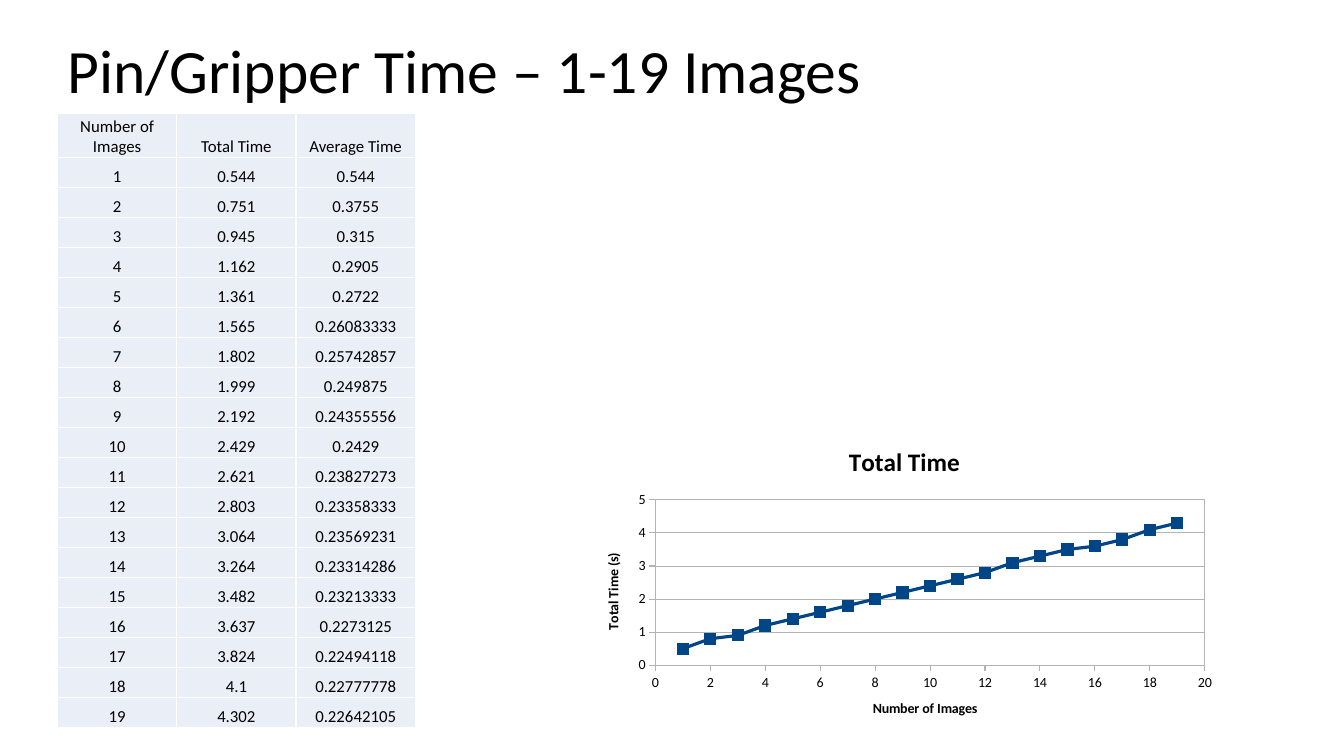
from dataclasses import dataclass

from lxml.etree import SubElement
from pptx import Presentation
from pptx.chart.data import XyChartData
from pptx.dml.color import RGBColor
from pptx.enum.chart import XL_CHART_TYPE, XL_MARKER_STYLE, XL_TICK_MARK
from pptx.enum.text import MSO_ANCHOR, PP_ALIGN
from pptx.oxml import parse_xml
from pptx.oxml.ns import nsdecls, qn
from pptx.util import Inches, Pt


@dataclass(frozen=True)
class Theme:
    font: str = "Calibri"
    ink: str = "000000"
    paper: str = "FFFFFF"
    cell: str = "EAEFF7"
    grid: str = "B3B3B3"
    series: str = "004586"
    title_size: int = 44
    table_size: int = 12
    chart_title_size: int = 18
    axis_size: int = 10


THEME = Theme()
SLIDE_WIDTH, SLIDE_HEIGHT = 13.33, 7.5
LEFT = 0.57
TABLE_TOP, TABLE_WIDTH, TABLE_HEIGHT, HEADER_HEIGHT = 1.13, 3.55, 6.09, 0.43
CHART_LEFT, CHART_TOP, CHART_WIDTH, CHART_HEIGHT = 5.79, 4.25, 6.36, 3.07
PLOT_INSET, PLOT_WIDTH, PLOT_HEIGHT = 0.71, 5.45, 1.64

HEADINGS = ("Number of Images", "Total Time", "Average Time")
TOTAL_TIMES = (0.544, 0.751, 0.945, 1.162, 1.361, 1.565, 1.802, 1.999, 2.192, 2.429,
               2.621, 2.803, 3.064, 3.264, 3.482, 3.637, 3.824, 4.1, 4.302)


def set_all(target, values):
    for name, value in values.items():
        setattr(target, name, value)


def style_font(font, size, bold=False):
    set_all(font, {"name": THEME.font, "size": Pt(size), "bold": bold})
    font.color.rgb = RGBColor.from_string(THEME.ink)


def style_line(line, color, width):
    line.color.rgb = RGBColor.from_string(color)
    line.width = Pt(width)


def fill_solid(fill, color):
    fill.solid()
    fill.fore_color.rgb = RGBColor.from_string(color)


def add_title(page, text):
    box = page.shapes.add_textbox(Inches(LEFT), 0, Inches(11.5), Inches(1.45))
    set_all(box.text_frame, {"word_wrap": True, "vertical_anchor": MSO_ANCHOR.MIDDLE})
    para = box.text_frame.paragraphs[0]
    para.line_spacing = 0.9
    span = para.add_run()
    span.text = text
    style_font(span.font, THEME.title_size)


def add_cell_borders(cell):
    properties = cell._tc.get_or_add_tcPr()
    for side in ("lnL", "lnR", "lnT", "lnB"):
        border = SubElement(properties, qn(f"a:{side}"), w=str(Pt(1)))
        solid = SubElement(border, qn("a:solidFill"))
        SubElement(solid, qn("a:srgbClr"), val=THEME.paper)


def fill_cell(cell, text):
    inset = Inches(0.01)
    set_all(cell, {"margin_left": inset, "margin_right": inset, "margin_top": inset,
                   "margin_bottom": 0, "vertical_anchor": MSO_ANCHOR.BOTTOM})
    add_cell_borders(cell)
    fill_solid(cell.fill, THEME.cell)
    para = cell.text_frame.paragraphs[0]
    para.alignment = PP_ALIGN.CENTER
    span = para.add_run()
    span.text = text
    style_font(span.font, THEME.table_size)


def add_time_table(page):
    # The average is the total time shared over the number of images
    rows = [HEADINGS] + [(str(count), str(total), str(round(total / count, 8)))
                         for count, total in enumerate(TOTAL_TIMES, 1)]
    table = page.shapes.add_table(
        len(rows), len(HEADINGS), Inches(LEFT), Inches(TABLE_TOP),
        Inches(TABLE_WIDTH), Inches(TABLE_HEIGHT)).table
    set_all(table, {"first_row": False, "horz_banding": False})
    for column in table.columns:
        column.width = Inches(TABLE_WIDTH / len(HEADINGS))
    body_height = (TABLE_HEIGHT - HEADER_HEIGHT) / len(TOTAL_TIMES)
    for index, texts in enumerate(rows):
        table.rows[index].height = Inches(body_height if index else HEADER_HEIGHT)
        for column, text in enumerate(texts):
            fill_cell(table.cell(index, column), text)


def title_chart_part(part, text, size):
    frame = (part.chart_title if hasattr(part, "chart_title") else part.axis_title).text_frame
    frame.text = text
    style_font(frame.paragraphs[0].runs[0].font, size, bold=True)


def style_axis(axis, title, maximum, step, gridlines):
    set_all(axis, {"minimum_scale": 0, "maximum_scale": maximum, "major_unit": step,
                   "has_major_gridlines": gridlines,
                   "major_tick_mark": XL_TICK_MARK.OUTSIDE,
                   "minor_tick_mark": XL_TICK_MARK.NONE})
    set_all(axis.tick_labels, {"number_format": "General", "number_format_is_linked": False})
    style_font(axis.tick_labels.font, THEME.axis_size)
    style_line(axis.format.line, THEME.grid, 0.75)
    if gridlines:
        style_line(axis.major_gridlines.format.line, THEME.grid, 0.75)
    title_chart_part(axis, title, THEME.axis_size)


def frame_plot(chart):
    # Fixed inner plot area with a thin border, and a white chart background
    plot_area = chart._chartSpace.chart.plotArea
    for old in plot_area.findall(qn("c:layout")):
        plot_area.remove(old)
    shares = {"x": PLOT_INSET / CHART_WIDTH, "y": PLOT_INSET / CHART_HEIGHT,
              "w": PLOT_WIDTH / CHART_WIDTH, "h": PLOT_HEIGHT / CHART_HEIGHT}
    places = "".join(f'<c:{key} val="{value:.4f}"/>' for key, value in shares.items())
    plot_area.insert(0, parse_xml(
        f'<c:layout {nsdecls("c")}><c:manualLayout><c:layoutTarget val="inner"/>'
        f'<c:xMode val="edge"/><c:yMode val="edge"/>{places}</c:manualLayout></c:layout>'))
    plot_area.append(parse_xml(
        f'<c:spPr {nsdecls("c", "a")}><a:noFill/><a:ln w="{Pt(0.75)}"><a:solidFill>'
        f'<a:srgbClr val="{THEME.grid}"/></a:solidFill></a:ln></c:spPr>'))
    chart._chartSpace.chart.addnext(parse_xml(
        f'<c:spPr {nsdecls("c", "a")}><a:solidFill><a:srgbClr val="{THEME.paper}"/>'
        f'</a:solidFill><a:ln><a:noFill/></a:ln></c:spPr>'))


def add_time_chart(page):
    data = XyChartData()
    points = data.add_series("Total Time")
    for count, total in enumerate(TOTAL_TIMES, 1):
        points.add_data_point(count, round(total, 1))
    chart = page.shapes.add_chart(
        XL_CHART_TYPE.XY_SCATTER_LINES, Inches(CHART_LEFT), Inches(CHART_TOP),
        Inches(CHART_WIDTH), Inches(CHART_HEIGHT), data).chart
    style_font(chart.font, THEME.axis_size)
    chart.has_legend = False
    title_chart_part(chart, "Total Time", THEME.chart_title_size)
    style_axis(chart.category_axis, "Number of Images", 20, 2, False)
    style_axis(chart.value_axis, "Total Time (s)", 5, 1, True)

    # Line and square markers
    chart.plots[0].vary_by_categories = False
    series = chart.plots[0].series[0]
    series.smooth = False
    style_line(series.format.line, THEME.series, 2.27)
    set_all(series.marker, {"style": XL_MARKER_STYLE.SQUARE, "size": 8})
    fill_solid(series.marker.format.fill, THEME.series)
    style_line(series.marker.format.line, THEME.series, 0.75)
    frame_plot(chart)


def main():
    deck = Presentation()
    set_all(deck, {"slide_width": Inches(SLIDE_WIDTH), "slide_height": Inches(SLIDE_HEIGHT)})
    page = deck.slides.add_slide(deck.slide_layouts[6])
    add_title(page, "Pin/Gripper Time – 1-19 Images")
    add_time_table(page)
    add_time_chart(page)
    deck.save("out.pptx")


if __name__ == "__main__":
    main()
